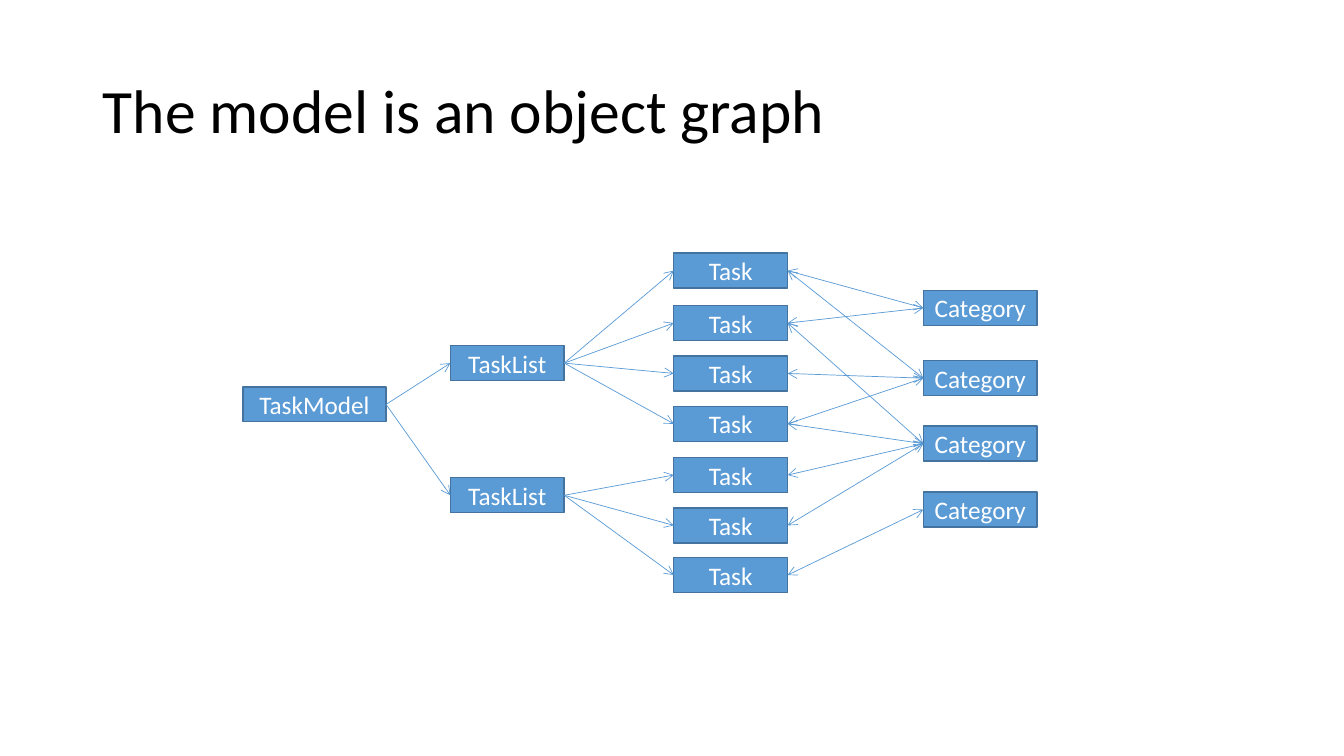
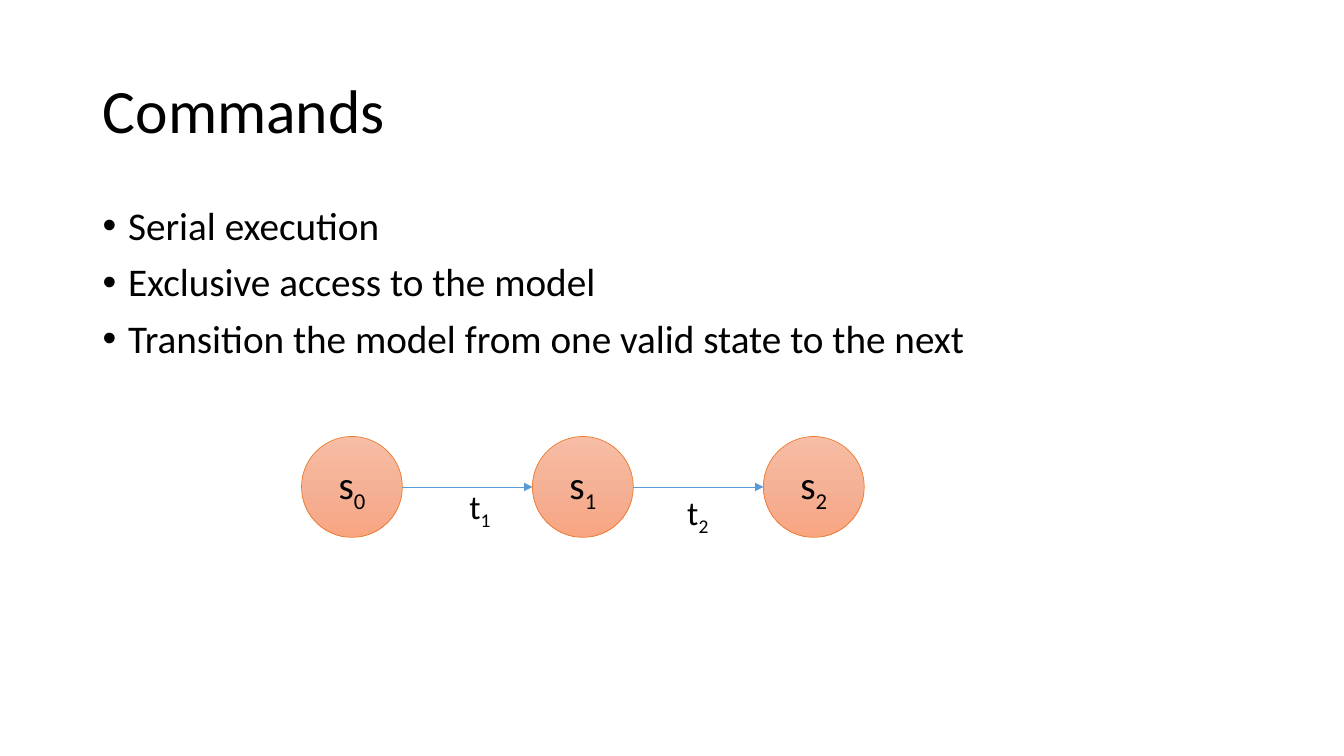
from lxml import etree
from copy import deepcopy
from pptx import Presentation
from pptx.dml.color import RGBColor
from pptx.enum.shapes import MSO_CONNECTOR, MSO_SHAPE
from pptx.enum.text import MSO_ANCHOR, MSO_AUTO_SIZE, PP_ALIGN
from pptx.oxml.ns import qn
from pptx.util import Cm, Pt

RECT, OVAL = MSO_SHAPE.RECTANGLE, MSO_SHAPE.OVAL
STRAIGHT = MSO_CONNECTOR.STRAIGHT
MIDDLE, CENTER = MSO_ANCHOR.MIDDLE, PP_ALIGN.CENTER
GROW = MSO_AUTO_SIZE.SHAPE_TO_FIT_TEXT
LEFT, RIGHT = 1, 3

BLACK = RGBColor(0x00, 0x00, 0x00)
WHITE = RGBColor(0xFF, 0xFF, 0xFF)
BLUE = RGBColor(0x5B, 0x9B, 0xD5)
NAVY = RGBColor(0x43, 0x73, 0x9E)
ORANGE = RGBColor(0xED, 0x7D, 0x31)
PEACH = (
    (0, RGBColor(0xF7, 0xBD, 0xA5)),
    (0.5, RGBColor(0xF5, 0xB1, 0x96)),
    (1, RGBColor(0xF8, 0xA5, 0x82)),
)

TITLE = {"size": Pt(44), "name": "Calibri"}
BODY = {"size": Pt(28), "name": "Calibri"}
LABEL = {"size": Pt(24), "name": "Calibri"}
NODE = {"size": Pt(18), "name": "Calibri"}


def write(para, text, style, color=BLACK, sub=""):
    """Add text, then an optional subscript, to a paragraph."""
    for part in filter(None, (text, sub)):
        run = para.add_run()
        run.text = part
        for key, value in style.items():
            setattr(run.font, key, value)
        run.font.color.rgb = color
    if sub:
        run._r.get_or_add_rPr().set("baseline", "-25000")


def link(page, ends, heads):
    """Draw a thin blue connector with the given arrowheads."""
    line = page.shapes.add_connector(STRAIGHT, *ends)
    line.line.color.rgb = BLUE
    line.line.width = Pt(0.5)
    props = line._element.spPr
    for tag, kind in heads.items():
        etree.SubElement(props.find(qn("a:ln")), qn(tag), type=kind)
    etree.SubElement(props, qn("a:effectLst"))
    return line


deck = Presentation()
deck.slide_width, deck.slide_height = Cm(33.87), Cm(19.05)

pages = []
for title in ("The model is an object graph", "Commands"):
    page = deck.slides.add_slide(deck.slide_layouts[6])
    frame = page.shapes.add_textbox(Cm(2.34), Cm(1.02), Cm(29.21), Cm(3.68)).text_frame
    frame.word_wrap = True
    frame.vertical_anchor = MIDDLE
    frame.paragraphs[0].line_spacing = 0.9
    write(frame.paragraphs[0], title, TITLE)
    pages.append(page)
graph, commands = pages

# Object graph: columns of nodes as (name, left, width, tops)
columns = (
    ("TaskModel", 6.12, 3.61, (9.75,)),
    ("TaskList", 11.35, 2.87, (8.71, 12.04)),
    ("Task", 16.98, 2.87, (6.38, 7.7, 8.97, 10.24, 11.53, 12.8, 14.05)),
    ("Category", 23.27, 2.87, (7.32, 9.09, 10.74, 12.4)),
)
nodes = {}
for name, left, width, tops in columns:
    nodes[name] = []
    for top in tops:
        box = graph.shapes.add_shape(RECT, Cm(left), Cm(top), Cm(width), Cm(0.88))
        box.shadow.inherit = False
        box.fill.solid()
        box.fill.fore_color.rgb = BLUE
        box.line.color.rgb = NAVY
        box.line.width = Pt(1)
        box.text_frame.vertical_anchor = MIDDLE
        para = box.text_frame.paragraphs[0]
        para.alignment = CENTER
        write(para, name, NODE, WHITE)
        nodes[name].append(box)

# Links as (from column, to column, arrowheads, targets of each source node)
one_way = {"a:tailEnd": "arrow"}
two_way = {"a:headEnd": "arrow", "a:tailEnd": "arrow"}
links = (
    ("TaskModel", "TaskList", one_way, ((0, 1),)),
    ("TaskList", "Task", one_way, ((0, 1, 2, 3), (4, 5, 6))),
    ("Task", "Category", two_way,
     ((0, 1), (0, 2), (1,), (1, 2), (2,), (2,), (3,))),
)
for start, end, heads, table in links:
    for source, targets in zip(nodes[start], table):
        for target in targets:
            line = link(graph, (0, 0, 0, 0), heads)
            line.begin_connect(source, RIGHT)
            line.end_connect(nodes[end][target], LEFT)

# Commands: bullets
frame = commands.shapes.add_textbox(Cm(2.34), Cm(5.08), Cm(29.21), Cm(8.08)).text_frame
frame.word_wrap = True
bullets = (
    "Serial execution",
    "Exclusive access to the model",
    "Transition the model from one valid state to the next",
)
for i, text in enumerate(bullets):
    para = frame.add_paragraph() if i else frame.paragraphs[0]
    para.line_spacing = 0.9
    para.space_before = Pt(10)
    props = para._p.get_or_add_pPr()
    props.set("marL", str(Cm(0.64)))
    props.set("indent", str(-Cm(0.64)))
    etree.SubElement(props, qn("a:buFont"), typeface="Arial")
    etree.SubElement(props, qn("a:buChar"), char="•")
    write(para, text, BODY)

# Commands: states and transitions
first, step, top, size = 7.6, 5.82, 11, 2.54
for i in range(3):
    left = first + i * step
    state = commands.shapes.add_shape(OVAL, Cm(left), Cm(top), Cm(size), Cm(size))
    state.shadow.inherit = False
    state.fill.gradient()
    state.fill.gradient_angle = 270
    stop = state._element.spPr.find(".//" + qn("a:gs"))
    stop.addnext(deepcopy(stop))
    for stop, (place, color) in zip(state.fill.gradient_stops, PEACH):
        stop.position = place
        stop.color.rgb = color
    state.line.color.rgb = ORANGE
    state.line.width = Pt(0.5)
    state.text_frame.vertical_anchor = MIDDLE
    para = state.text_frame.paragraphs[0]
    para.alignment = CENTER
    write(para, "s", BODY, sub=str(i))

mid = top + size / 2
for i, (left, high) in enumerate(((11.58, 12.12), (17.07, 12.27))):
    start = first + size + i * step
    ends = Cm(start), Cm(mid), Cm(start + step - size), Cm(mid)
    link(commands, ends, {"a:tailEnd": "triangle"})
    frame = commands.shapes.add_textbox(Cm(left), Cm(high), Cm(1.07), Cm(1.27)).text_frame
    frame.word_wrap = False
    frame.auto_size = GROW
    write(frame.paragraphs[0], "t", LABEL, sub=str(i + 1))

deck.save("out.pptx")
